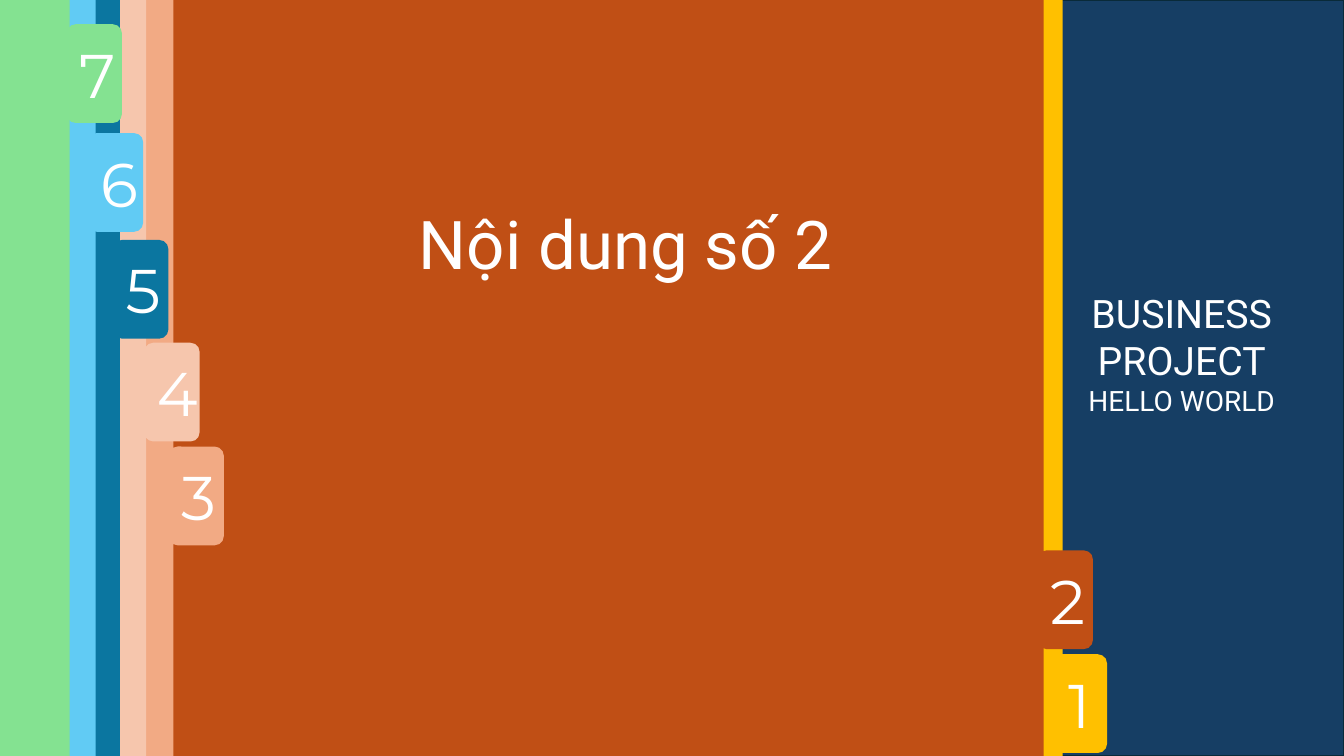
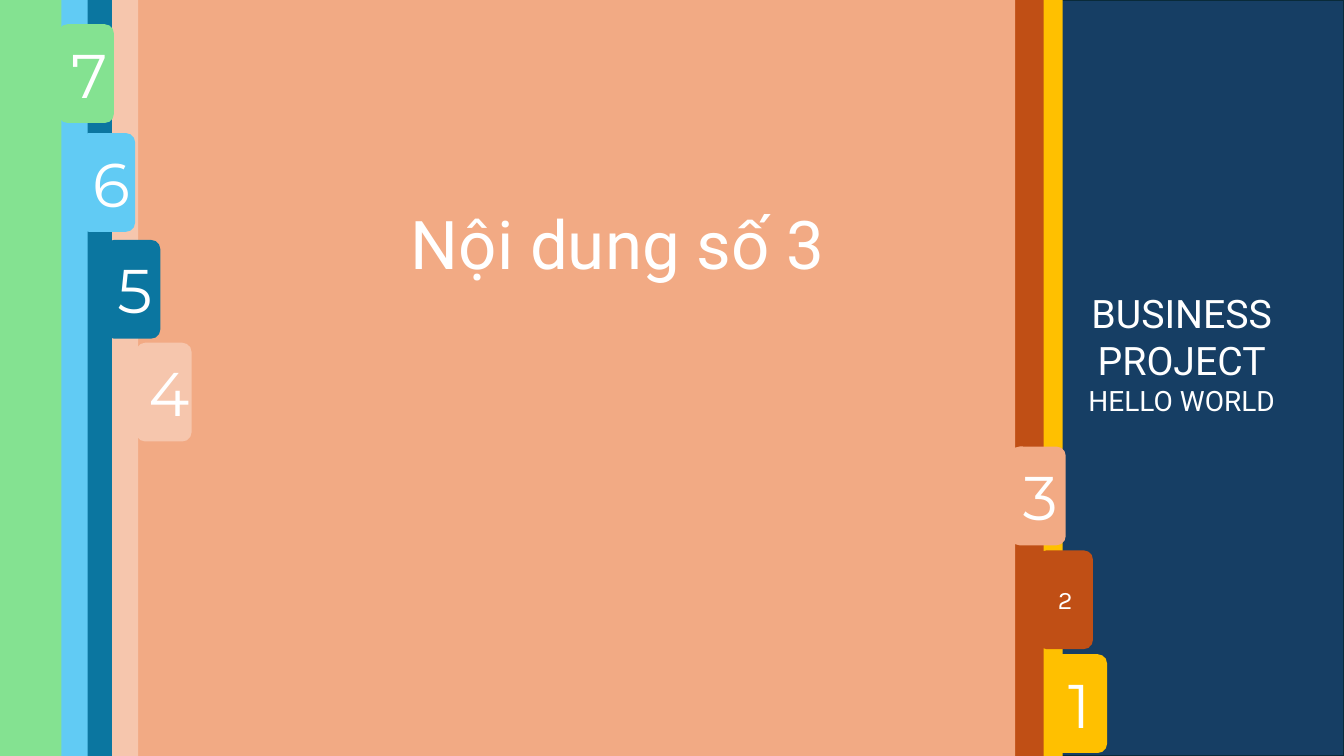
from collections import namedtuple

from pptx import Presentation
from pptx.dml.color import RGBColor
from pptx.enum import shapes, text
from pptx.util import Inches, Pt

WHITE = RGBColor(0xFF, 0xFF, 0xFF)
NAVY = RGBColor(0x16, 0x3E, 0x64)
NAVY_EDGE = RGBColor(0x09, 0x2A, 0x39)
YELLOW = RGBColor(0xFF, 0xC0, 0x00)
RUST = RGBColor(0xC0, 0x4F, 0x15)
SALMON = RGBColor(0xF2, 0xAA, 0x84)
PEACH = RGBColor(0xF6, 0xC6, 0xAD)
TEAL = RGBColor(0x0B, 0x76, 0xA0)
SKY = RGBColor(0x61, 0xCB, 0xF4)
GREEN = RGBColor(0x84, 0xE2, 0x91)

SLIDE_W, SLIDE_H = 13.33, 7.5
TAB_W, TAB_H = 0.55, 0.98
TITLE_FONT, TAB_FONT, SMALL_TAB_FONT = "Roboto", "Montserrat", "Karla"

Page = namedtuple("Page", "color tab_top tab_inset closed_edge open_edge")
PAGES = [
    Page(YELLOW, 6.49, 0.11, 2.0, 10.54),
    Page(RUST, 5.46, 0.06, 1.98, 10.35),
    Page(SALMON, 4.43, 0.05, 1.72, 10.07),
    Page(PEACH, 3.4, 0.02, 1.45, 9.8),
    Page(TEAL, 2.38, 0.07, 1.19, 9.54),
    Page(SKY, 1.32, 0.08, 0.95, 9.3),
    Page(GREEN, 0.24, 0.03, 0.69, 9.04),
]


def style_run(r, size, font):
    r.font.size = Pt(size)
    r.font.name = font
    r.font.color.rgb = WHITE


def add_box(parent, kind, left, top, width, height, color):
    sp = parent.add_shape(kind, Inches(left), Inches(top), Inches(width), Inches(height))
    sp.shadow.inherit = False
    sp.fill.solid()
    sp.fill.fore_color.rgb = color
    sp.line.fill.background()
    return sp


def write_lines(sp, lines):
    tf = sp.text_frame
    tf.word_wrap = True
    tf.text = "\n".join(line for line, _, _ in lines)
    for p, (_, size, font) in zip(tf.paragraphs, lines):
        p.alignment = text.PP_ALIGN.CENTER
        style_run(p.runs[0], size, font)


def add_label(s, left, top, width, height, lines):
    sp = s.shapes.add_textbox(Inches(left), Inches(top), Inches(width), Inches(height))
    write_lines(sp, lines)
    sp.text_frame.auto_size = text.MSO_AUTO_SIZE.SHAPE_TO_FIT_TEXT


def add_background(s):
    sp = add_box(s.shapes, shapes.MSO_SHAPE.RECTANGLE, 0, 0, SLIDE_W, SLIDE_H, NAVY)
    sp.line.color.rgb = NAVY_EDGE
    sp.line.width = Pt(1.5)


def add_page(s, page, number, edge, tab_size, tab_font):
    group = s.shapes.add_group_shape().shapes
    add_box(group, shapes.MSO_SHAPE.RECTANGLE, 0, 0, edge, SLIDE_H, page.color)
    tab = add_box(group, shapes.MSO_SHAPE.ROUNDED_RECTANGLE,
                  edge - page.tab_inset, page.tab_top, TAB_W, TAB_H, page.color)
    tab.text_frame.vertical_anchor = text.MSO_ANCHOR.MIDDLE
    write_lines(tab, [(str(number), tab_size, tab_font)])


def add_content_slide(prs, current, stack_shift=0, small_tabs=()):
    s = prs.slides.add_slide(prs.slide_layouts[6])
    add_background(s)
    for number, page in enumerate(PAGES, 1):
        edge = page.open_edge if number <= current else page.closed_edge + stack_shift
        size, font = (18, SMALL_TAB_FONT) if number in small_tabs else (44, TAB_FONT)
        add_page(s, page, number, edge, size, font)
    add_label(s, 10.52, 2.82, 2.4, 1.85,
              [("BUSINESS PROJECT", 28, TITLE_FONT), ("HELLO WORLD", 20, TITLE_FONT)])
    add_label(s, 3.08 + stack_shift, 1.96, 6.25, 0.91,
              [(f"Nội dung số {current}", 48, TITLE_FONT)])


def main():
    prs = Presentation()
    prs.slide_width, prs.slide_height = Inches(SLIDE_W), Inches(SLIDE_H)
    add_content_slide(prs, 2)
    add_content_slide(prs, 3, stack_shift=-0.08, small_tabs=(2,))
    prs.save("out.pptx")


if __name__ == "__main__":
    main()
